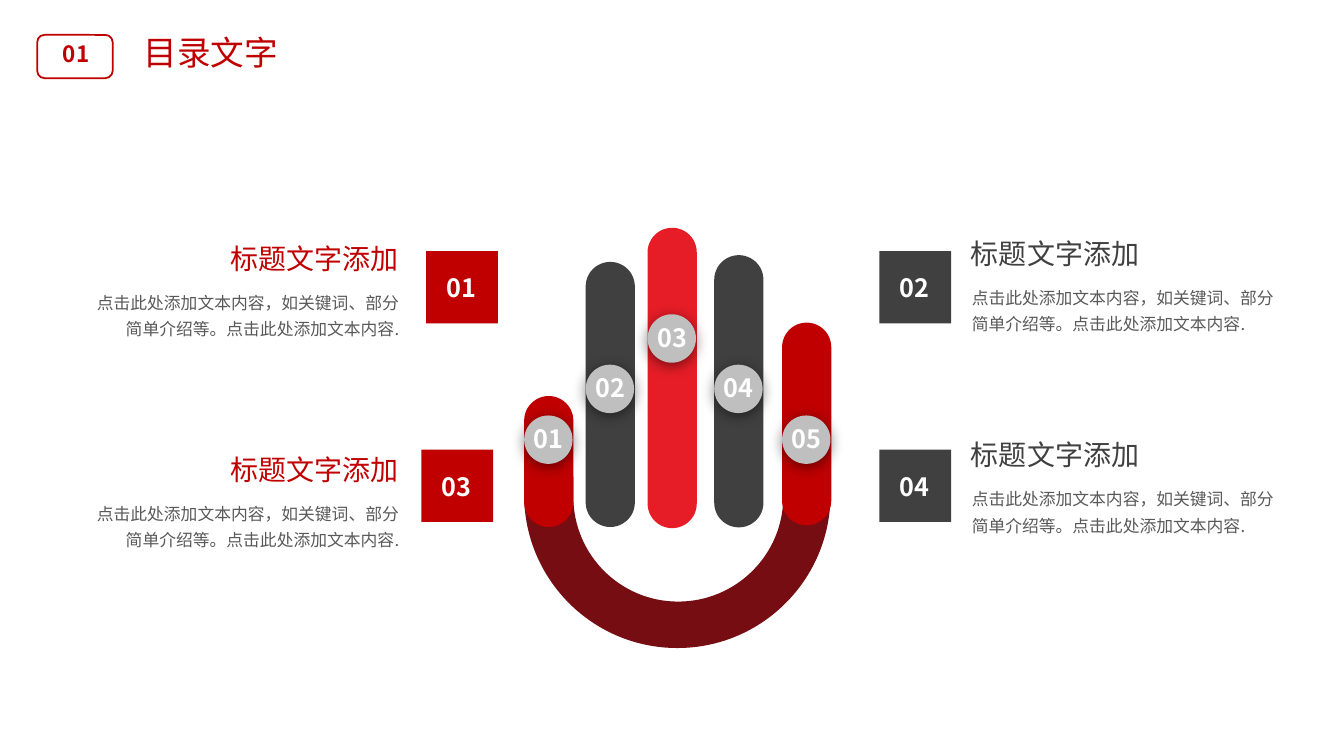
from lxml import etree
from pptx import Presentation
from pptx.dml.color import RGBColor
from pptx.enum.shapes import MSO_SHAPE
from pptx.enum.text import MSO_ANCHOR, MSO_AUTO_SIZE, PP_ALIGN
from pptx.oxml import parse_xml
from pptx.oxml.ns import qn
from pptx.util import Cm, Pt

ROUNDED = MSO_SHAPE.ROUNDED_RECTANGLE
LEFT, CENTER, RIGHT, JUSTIFY = PP_ALIGN.LEFT, PP_ALIGN.CENTER, PP_ALIGN.RIGHT, PP_ALIGN.JUSTIFY
MIDDLE = MSO_ANCHOR.MIDDLE
GROW = MSO_AUTO_SIZE.SHAPE_TO_FIT_TEXT

FONT = "Noto Sans CJK SC"
COLORS = {
    "red": "C00000", "bright": "E61D27", "palm": "750D12", "dark": "404040",
    "disc": "BFBFBF", "body": "595959", "white": "FFFFFF",
}
STYLES = {
    "tag": {"size": Pt(16), "bold": True},
    "page_title": {"size": Pt(24), "bold": False},
    "number": {"size": Pt(18), "bold": True},
    "heading": {"size": Pt(20), "bold": False},
    "body": {"size": Pt(12), "bold": False},
}
GROWING = {"auto_size": GROW}
CENTERED = {
    "vertical_anchor": MIDDLE, "margin_left": 0, "margin_right": 0,
    "margin_top": Cm(0.28), "margin_bottom": Cm(0.28),
}
HEADING = "标题文字添加"
BODY = "点击此处添加文本内容，如关键词、部分简单介绍等。点击此处添加文本内容."
ARC_PULL = 0.5523  # share of the radius that rounds a quarter circle
DISC_SHADOW = (
    '<a:effectLst xmlns:a="http://schemas.openxmlformats.org/drawingml/2006/main">'
    '<a:outerShdw blurRad="127000" dist="25400" dir="5400000" algn="t" rotWithShape="0">'
    '<a:srgbClr val="000000"><a:alpha val="50000"/></a:srgbClr>'
    "</a:outerShdw></a:effectLst>"
)


def color(name):
    return RGBColor.from_string(COLORS[name])


def add_text(shapes, box, text, style, ink, align, spacing=None, layout=GROWING):
    frame = shapes.add_textbox(*map(Cm, box)).text_frame
    for name, value in {"word_wrap": True, **layout}.items():
        setattr(frame, name, value)
    para = frame.paragraphs[0]
    for name, value in {"alignment": align, "line_spacing": spacing}.items():
        setattr(para, name, value)
    span = para.add_run()
    span.text = text
    for name, value in {"name": FONT, **STYLES[style]}.items():
        setattr(span.font, name, value)
    span.font.color.rgb = color(ink)
    east_asian = etree.SubElement(span.font._element, qn("a:ea"))
    east_asian.set("typeface", FONT)


def add_number(shapes, box, number, spacing=None):
    add_text(shapes, box, f"{number:02}", "number", "white", CENTER, spacing, CENTERED)


def paint(shape, fill):
    shape.shadow.inherit = False
    shape.line.fill.background()
    shape.fill.solid()
    shape.fill.fore_color.rgb = color(fill)


def add_block(shapes, box, fill, rounding):
    shape = shapes.add_shape(ROUNDED, *map(Cm, box))
    shape.adjustments[0] = rounding
    paint(shape, fill)
    return shape


def draw_header(page, left, top):
    # Outlined section tag and page title
    shapes = page.shapes.add_group_shape().shapes
    tag = shapes.add_shape(ROUNDED, Cm(left), Cm(top + 0.19), Cm(1.9), Cm(1.09))
    tag.shadow.inherit = False
    tag.fill.background()
    tag.line.color.rgb = color("red")
    tag.line.width = Pt(1.25)
    add_text(shapes, (left + 0.33, top + 0.19, 1.3, 0.94), "01", "tag", "red", CENTER)
    add_text(shapes, (left + 2.43, top, 4.22, 1.27), "目录文字", "page_title", "red", JUSTIFY)


def bend(line, start, leaves_upright):
    """Turn a straight outline segment into a quarter circle."""
    point = line.find(qn("a:pt"))
    x, y = start
    end_x, end_y = int(point.get("x")), int(point.get("y"))
    pull_x, pull_y = ARC_PULL * (end_x - x), ARC_PULL * (end_y - y)
    if leaves_upright:
        controls = [(x, y + pull_y), (end_x - pull_x, end_y)]
    else:
        controls = [(x + pull_x, y), (end_x, end_y - pull_y)]
    line.tag = qn("a:cubicBezTo")
    for index, (control_x, control_y) in enumerate(controls):
        control = etree.Element(qn("a:pt"), x=str(round(control_x)), y=str(round(control_y)))
        line.insert(index, control)


def draw_palm(shapes, left, top):
    # Half ring with short straight ends
    outline = [
        (0, 0), (0, 0.46), (3.86, 4.32), (7.72, 0.46), (7.72, 0),
        (6.53, 0), (6.53, 0.51), (3.88, 3.15), (1.24, 0.51), (1.24, 0),
    ]
    points = [(Cm(left + x), Cm(top + y)) for x, y in outline]
    builder = shapes.build_freeform(*points[0])
    builder.add_line_segments(points[1:], close=True)
    palm = builder.convert_to_shape()
    paint(palm, "palm")
    lines = list(palm._element.iter(qn("a:lnTo")))
    for corner, leaves_upright in ((2, True), (3, False), (7, True), (8, False)):
        start = [Cm(length) for length in outline[corner - 1]]
        bend(lines[corner - 1], start, leaves_upright)


def draw_hand(page, left, top):
    shapes = page.shapes.add_group_shape().shapes
    draw_palm(shapes, left, top + 6.27)

    # Fingers: number, offset across, offset down, length, disc offset down, fill
    fingers = [
        (4, 4.79, 0.69, 6.86, 3.45, "dark"),
        (2, 1.55, 0.86, 6.68, 3.45, "dark"),
        (3, 3.11, 0, 7.57, 2.18, "bright"),
        (1, 0, 4.24, 3.3, 4.73, "red"),
        (5, 6.5, 2.39, 5.11, 4.73, "red"),
    ]
    for _, across, down, length, disc_down, fill in fingers:
        add_block(shapes, (left + across, top + down, 1.24, length), fill, 0.5)
        disc = add_block(shapes, (left + across, top + disc_down, 1.22, 1.22), "disc", 0.5)
        properties = disc._element.spPr
        properties.replace(properties.find(qn("a:effectLst")), parse_xml(DISC_SHADOW))

    # Numbers on the discs
    for number, across, _, _, disc_down, _ in sorted(fingers):
        add_number(shapes, (left + across + 0.15, top + disc_down + 0.04, 0.94, 1.07), number)


def draw_entry(page, number, left, top, width, badge_drop, on_left):
    # Badge on the side facing the hand, text on the outer side
    shapes = page.shapes.add_group_shape().shapes
    if on_left:
        badge_left, text_left, text_width = left + width - 1.8, left, 8.23
        heading_left, ink, align = left + text_width - 6.26, "red", RIGHT
    else:
        badge_left, text_left, text_width = left, left + 2.08, width - 2.08
        heading_left, ink, align = text_left - 0.02, "dark", LEFT
    badge_top = top + badge_drop
    add_block(shapes, (badge_left, badge_top, 1.81, 1.82), ink, 0)
    add_number(shapes, (badge_left + 0.15, badge_top + 0.23, 1.47, 1.22), number, 1.2)
    add_text(shapes, (text_left, top + 1.14, text_width, 1.52), BODY, "body", "body", align, 1.3)
    add_text(shapes, (heading_left, top, 6.25, 1.12), HEADING, "heading", ink, align)


def main():
    deck = Presentation()
    deck.slide_width, deck.slide_height = Cm(33.87), Cm(19.05)
    page = deck.slides.add_slide(deck.slide_layouts[6])
    draw_header(page, 0.94, 0.69)
    draw_hand(page, 13.21, 5.74)
    draw_entry(page, 1, 2.08, 5.96, 10.46, 0.37, on_left=True)
    draw_entry(page, 3, 2.08, 11.28, 10.34, 0.05, on_left=True)
    draw_entry(page, 2, 22.16, 5.84, 10.56, 0.49, on_left=False)
    draw_entry(page, 4, 22.16, 10.91, 10.56, 0.42, on_left=False)
    deck.save("out.pptx")


if __name__ == "__main__":
    main()
